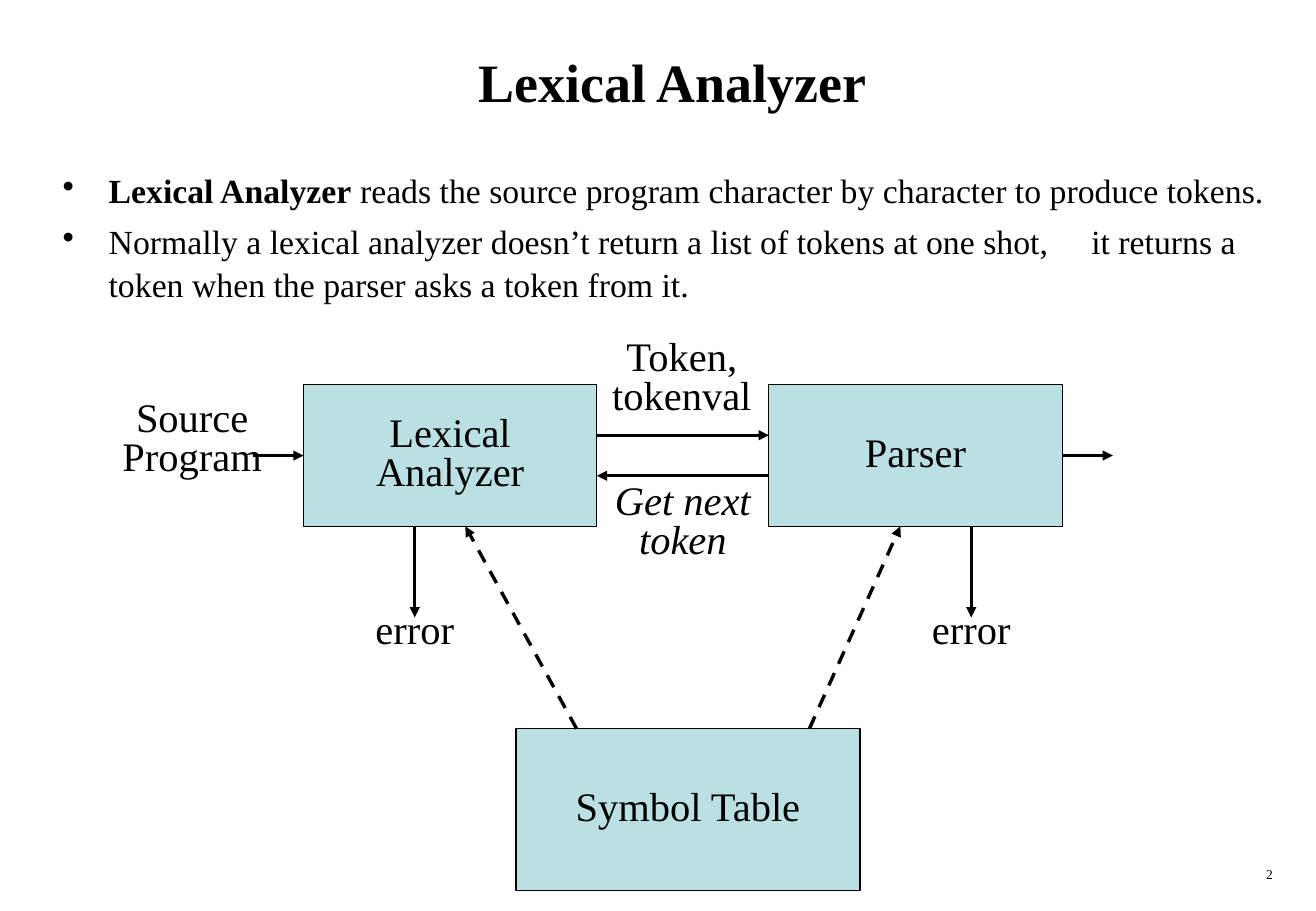
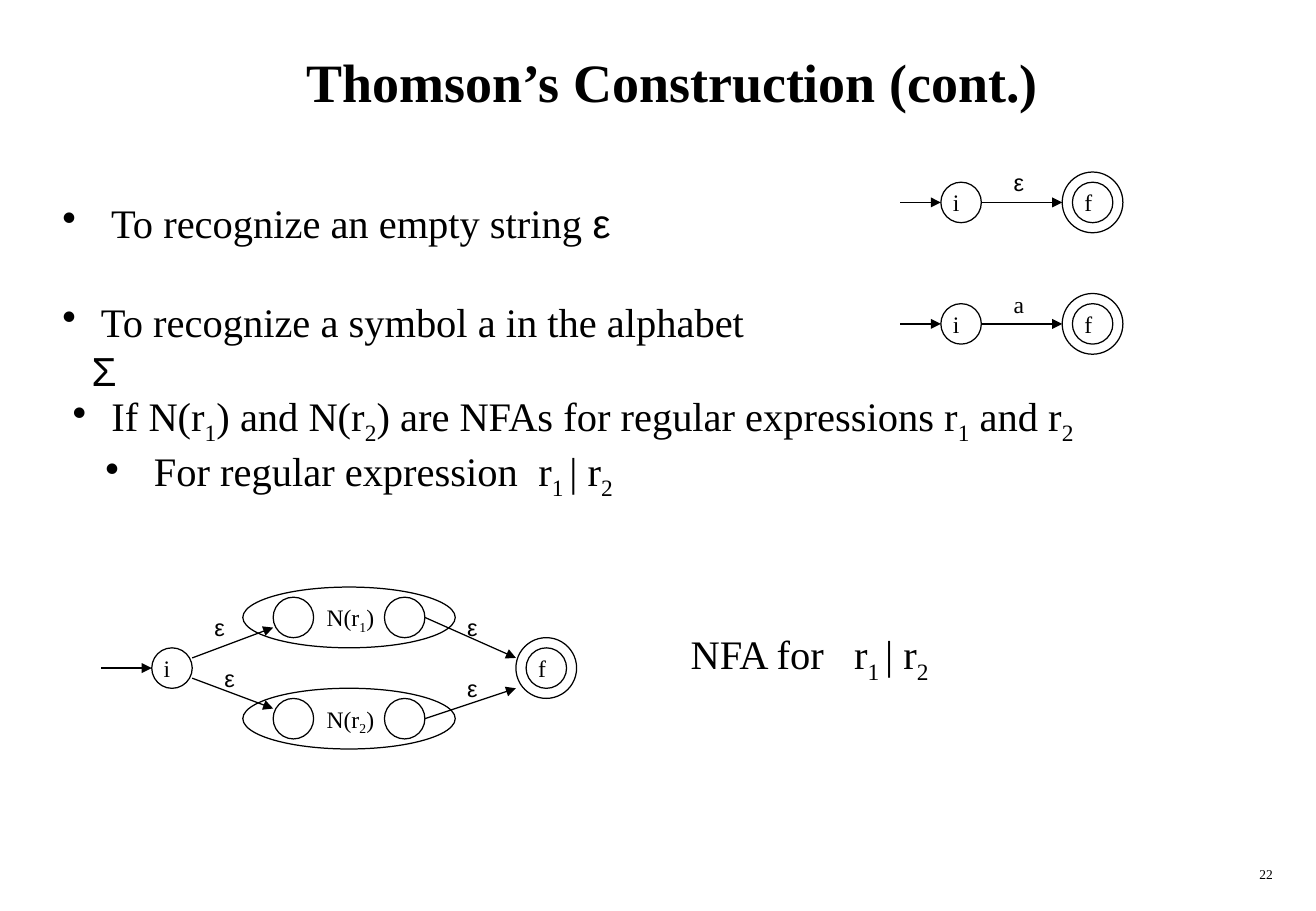
"""Builds two lecture slides on lexical analysis on a grid of twelfths of an inch."""
import dataclasses

import lxml.etree
import pptx
import pptx.dml.color
import pptx.enum.dml
import pptx.enum.shapes
import pptx.enum.text
import pptx.oxml.ns
import pptx.util

ALIGN = pptx.enum.text.PP_ALIGN
ANCHOR = pptx.enum.text.MSO_ANCHOR
SHAPE = pptx.enum.shapes.MSO_SHAPE
DASH = pptx.enum.dml.MSO_LINE.DASH


@dataclasses.dataclass(frozen=True)
class Theme:
    ink: str = "000000"
    panel: str = "BBE0E3"
    serif: str = "Times New Roman"
    sans: str = "Arial"
    title: int = 32
    large: int = 24
    body: int = 20
    small: int = 14
    page: int = 8
    thin: float = 0.75
    thick: float = 2
    tight: float = 0.81
    loose: float = 1.05

    def fonts(self, style):
        return {"bold": {"bold": True}, "italic": {"italic": True},
                "greek": {"name": self.sans}}.get(style, {})

    def attributes(self, style):
        return {"sub": {"baseline": "-25000"}, "double": {"spc": "600"},
                "triple": {"spc": "1200"}, "pause": {"spc": "2000"}}.get(style, {})


@dataclasses.dataclass
class Item:
    runs: list
    hang: float
    left: float = 0
    before: float = 0


def cells(count):
    return pptx.util.Inches(count / 12)


def dress(target, formats):
    for name, value in formats.items():
        setattr(target, name, value)


def add_xml(parent, tag, **attributes):
    return lxml.etree.SubElement(parent, pptx.oxml.ns.qn(tag), attributes)


class Deck:
    def __init__(self, theme):
        self.theme = theme
        self.ink = pptx.dml.color.RGBColor.from_string(theme.ink)
        self.lecture = pptx.Presentation()
        dress(self.lecture, {"slide_width": pptx.util.Inches(10.84),
                             "slide_height": pptx.util.Inches(7.5)})
        self.slide = None

    def begin(self, title, number):
        self.slide = self.lecture.slides.add_slide(self.lecture.slide_layouts[6])
        self.text((5, 2, 123, 12), [(title, "bold")], self.theme.title,
                  anchor=ANCHOR.MIDDLE, alignment=ALIGN.CENTER)
        self.text((100, 85, 27, 3), [(number, "")], self.theme.page, alignment=ALIGN.RIGHT)

    def compose(self, paragraph, runs, size, **formats):
        dress(paragraph, formats)
        for text, style in runs:
            for index, line in enumerate(text.split("\n")):
                if index:
                    paragraph.add_line_break()
                run = paragraph.add_run()
                run.text = line
                dress(run.font, {"name": self.theme.serif, "size": pptx.util.Pt(size),
                                 **self.theme.fonts(style)})
                run.font.color.rgb = self.ink
                for name, value in self.theme.attributes(style).items():
                    run.font._element.set(name, value)

    def frame(self, at, anchor=ANCHOR.TOP):
        frame = self.slide.shapes.add_textbox(*map(cells, at)).text_frame
        dress(frame, {"word_wrap": True, "vertical_anchor": anchor})
        return frame

    def text(self, at, runs, size, anchor=ANCHOR.TOP, **formats):
        self.compose(self.frame(at, anchor).paragraphs[0], runs, size, **formats)

    def label(self, center, row, text, style=""):
        self.text((center - 9, row, 18, 9), [(text, style)], self.theme.large,
                  alignment=ALIGN.CENTER, line_spacing=self.theme.tight)

    def mark(self, column, row, *runs):
        self.text((column, row, 8, 4), runs, self.theme.small)

    def bullets(self, at, size, items, **formats):
        frame = self.frame(at)
        for index, item in enumerate(items):
            paragraph = frame.add_paragraph() if index else frame.paragraphs[0]
            self.compose(paragraph, item.runs, size,
                         space_before=pptx.util.Pt(item.before), **formats)
            properties = paragraph._p.get_or_add_pPr()
            properties.set("marL", str(pptx.util.Inches(item.left + item.hang)))
            properties.set("indent", str(pptx.util.Inches(-item.hang)))
            add_xml(add_xml(properties, "a:buClr"), "a:srgbClr", val=self.theme.ink)
            add_xml(properties, "a:buChar", char="•")

    def outline(self, kind, at, fill=None):
        shape = self.slide.shapes.add_shape(kind, *map(cells, at))
        shape.shadow.inherit = False
        shape.line.color.rgb = self.ink
        shape.line.width = pptx.util.Pt(self.theme.thin)
        if fill:
            shape.fill.solid()
            shape.fill.fore_color.rgb = pptx.dml.color.RGBColor.from_string(fill)
        else:
            shape.fill.background()
        return shape

    def module(self, at, name):
        frame = self.outline(SHAPE.RECTANGLE, at, self.theme.panel).text_frame
        dress(frame, {"word_wrap": True, "vertical_anchor": ANCHOR.MIDDLE})
        self.compose(frame.paragraphs[0], [(name, "")], self.theme.large,
                     alignment=ALIGN.CENTER, line_spacing=self.theme.tight)

    def oval(self, column, row, width, height):
        self.outline(SHAPE.OVAL, (column - width / 2, row - height / 2, width, height))

    def arrow(self, ends, width, dash=None):
        arrow = self.slide.shapes.add_connector(
            pptx.enum.shapes.MSO_CONNECTOR.STRAIGHT, *map(cells, ends))
        arrow.line.color.rgb = self.ink
        dress(arrow.line, {"width": pptx.util.Pt(width), "dash_style": dash})
        add_xml(arrow.line._get_or_add_ln(), "a:tailEnd", type="triangle")
        add_xml(arrow._element.spPr, "a:effectLst")

    def edges(self, *ends):
        for end in ends:
            self.arrow(end, self.theme.thin)

    def initial(self, column, row, lead):
        self.oval(column, row, 4, 4)
        self.edges((column - 2 - lead, row, column - 2, row))
        self.mark(column - 2, row - 2, ("i", ""))

    def final(self, column, row):
        for size in (6, 4):
            self.oval(column, row, size, size)
        self.mark(column - 2, row - 2, ("f", ""))

    def recognizer(self, row, symbol):
        self.initial(95, row, 4)
        self.edges((97, row, 105, row))
        self.final(108, row)
        self.mark(99, row - 4, symbol)

    def machine(self, row, index):
        self.oval(34.5, row, 21, 6)
        for column in (29, 40):
            self.oval(column, row, 4, 4)
        self.mark(31.1, row - 2, ("N(r", ""), (index, "sub"), (")", ""))


def analyzer_slide(deck):
    theme = deck.theme
    deck.begin("Lexical Analyzer", "2")
    deck.bullets((5, 16, 123, 67), theme.body, [
        Item([("Lexical Analyzer", "bold"),
              (" reads the source program character by character to produce tokens.", "")],
             0.38, before=5),
        Item([("Normally a lexical analyzer doesn’t return a list of tokens at one shot,", ""),
              (" ", "pause"),
              ("it returns a token when the parser asks a token from it.", "")],
             0.38, before=5)], line_spacing=theme.loose)
    for at, name in (((30, 38, 29, 14), "Lexical\nAnalyzer"), ((76, 38, 29, 14), "Parser"),
                     ((51, 72, 34, 16), "Symbol Table")):
        deck.module(at, name)
    for flow in ((59, 43, 76, 43), (76, 47, 59, 47), (25, 45, 30, 45), (105, 45, 110, 45)):
        deck.arrow(flow, theme.thick)
    for lookup in ((57, 72, 46, 52), (80, 72, 89, 52)):
        deck.arrow(lookup, theme.thick, DASH)
    for column in (41, 96):
        deck.arrow((column, 52, column, 61), theme.thick)
        deck.label(column, 60, "error")
    deck.label(19, 39, "Source\nProgram")
    deck.label(67.4, 33, "Token,\ntokenval")
    deck.label(67.5, 47.2, "Get next\ntoken", "italic")


def construction_slide(deck):
    theme = deck.theme
    first, second, epsilon = ("1", "sub"), ("2", "sub"), ("ε", "greek")
    union = [("r", ""), ("1 ", "sub"), ("| r", ""), second]
    deck.begin("Thomson’s Construction (cont.)", "22")
    deck.bullets((5, 19, 72, 20.4), theme.large, [
        Item([("To recognize an empty string ", ""), epsilon], 0.4),
        Item([(" To recognize a symbol a in the alphabet ", ""), ("Σ", "greek")],
             0.24, before=30)])
    deck.bullets((6, 38, 102, 12), theme.large, [
        Item([("If N(r", ""), first, (") and N(r", ""), second,
              (") are NFAs for regular expressions r", ""), first, (" and r", ""), second], 0.32),
        Item([("For regular expression", ""), (" ", "double"), *union], 0.4, left=0.27)])
    deck.recognizer(20, epsilon)
    deck.recognizer(32, ("a", ""))
    deck.initial(17, 66, 5)
    deck.machine(61, "1")
    deck.machine(71, "2")
    deck.final(54, 66)
    deck.edges((19, 65, 27, 62), (19, 67, 27, 70), (42, 61, 51, 65), (42, 71, 51, 68))
    for column, row in ((20, 60), (21, 65), (45, 60), (45, 66)):
        deck.mark(column, row, epsilon)
    deck.text((67.1, 61.6, 30, 7), [("NFA for", ""), (" ", "triple"), *union], theme.large)


def main():
    deck = Deck(Theme())
    analyzer_slide(deck)
    construction_slide(deck)
    deck.lecture.save("out.pptx")


if __name__ == "__main__":
    main()
